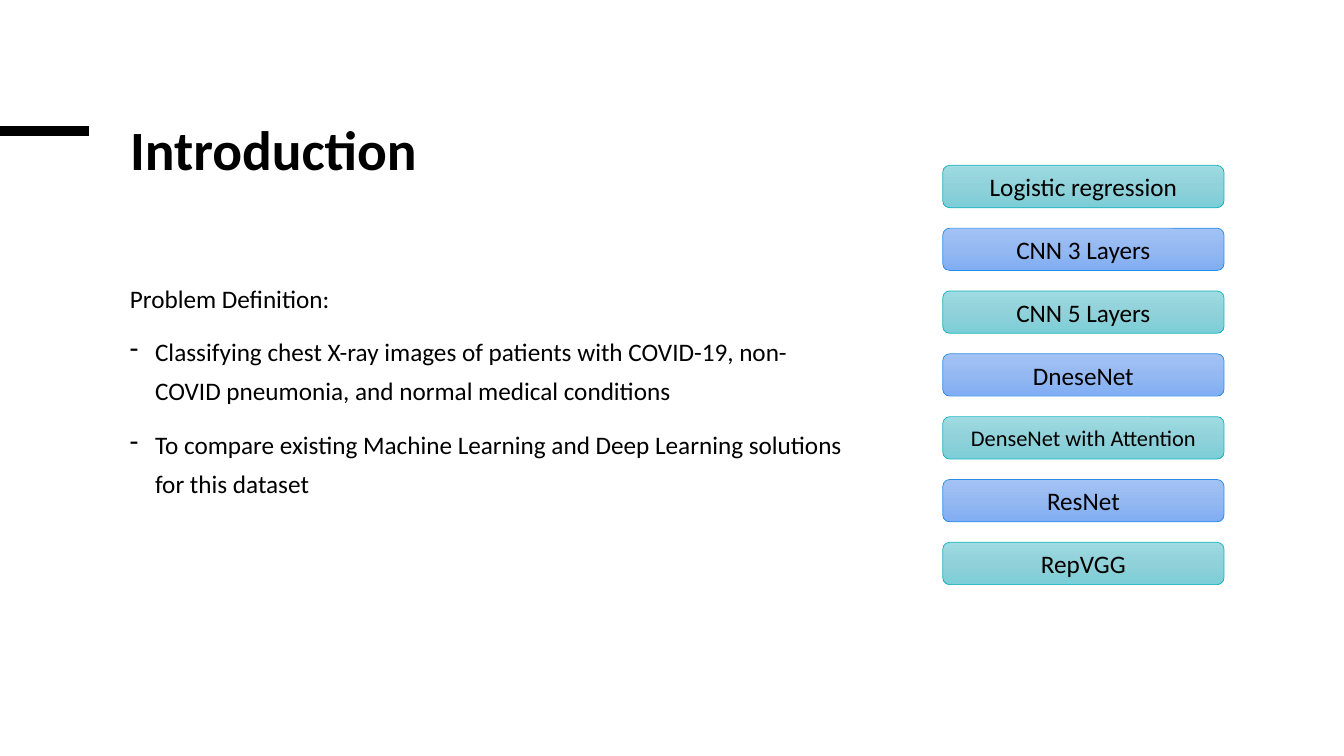
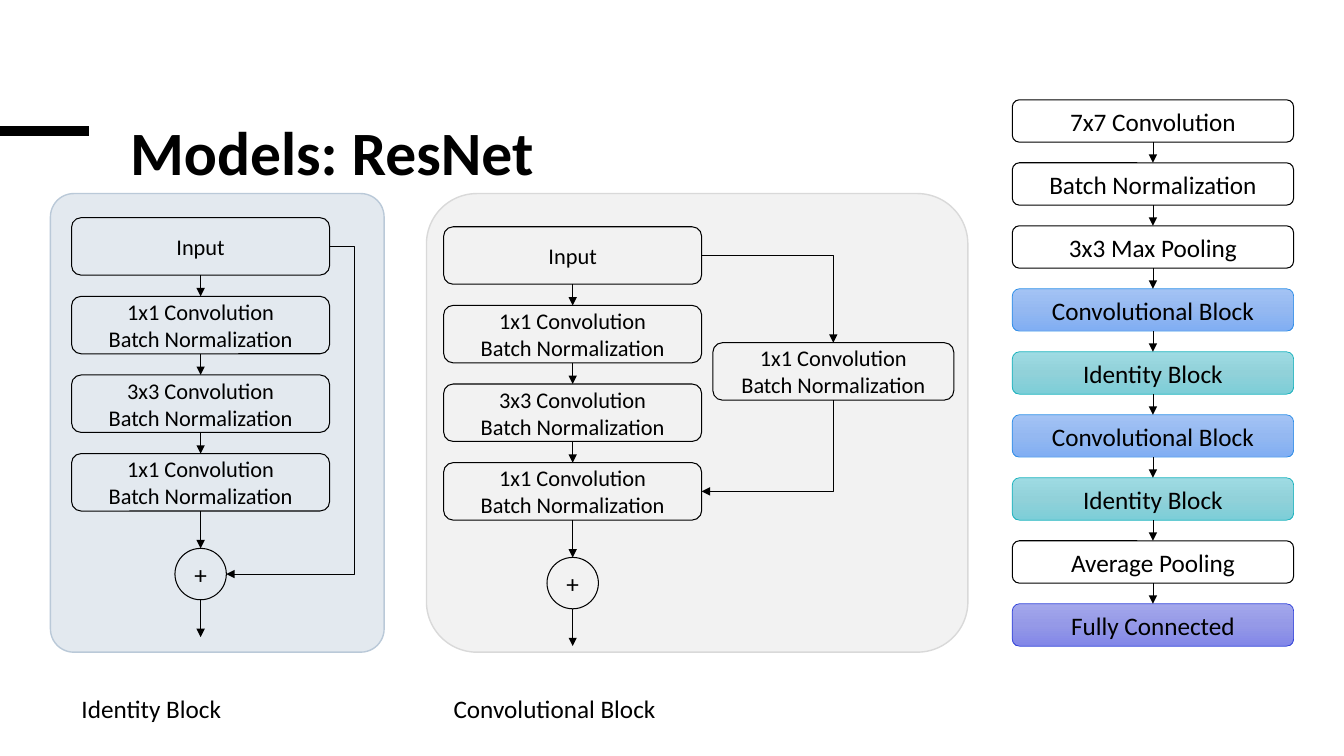
import copy

import pptx
import pptx.dml.color
import pptx.enum.shapes
import pptx.enum.text
import pptx.oxml.ns
import pptx.util
from lxml import etree

Inches = pptx.util.Inches
Pt = pptx.util.Pt
RGBColor = pptx.dml.color.RGBColor
SHAPES = pptx.enum.shapes.MSO_SHAPE
LINES = pptx.enum.shapes.MSO_CONNECTOR
ANCHOR = pptx.enum.text.MSO_ANCHOR
ALIGN = pptx.enum.text.PP_ALIGN
qn = pptx.oxml.ns.qn

FONT = "Calibri"
BLACK = RGBColor(0x00, 0x00, 0x00)
IDENTITY_FILL = RGBColor(0xE3, 0xE9, 0xEF)
IDENTITY_EDGE = RGBColor(0xBA, 0xC9, 0xD8)
CONV_FILL = RGBColor(0xF2, 0xF2, 0xF2)
CONV_EDGE = RGBColor(0xD9, 0xD9, 0xD9)
TEAL_EDGE = RGBColor(0x14, 0xB1, 0xBC)
BLUE_EDGE = RGBColor(0x29, 0x8C, 0xE7)
VIOLET_EDGE = RGBColor(0x2E, 0x40, 0xD9)
TEAL = (RGBColor(0x9E, 0xDB, 0xE3), RGBColor(0x91, 0xD1, 0xD9), RGBColor(0x7C, 0xCE, 0xD8))
BLUE = (RGBColor(0xA3, 0xC3, 0xF4), RGBColor(0x94, 0xB8, 0xF1), RGBColor(0x80, 0xAE, 0xF3))
VIOLET = (RGBColor(0xA3, 0xA7, 0xEB), RGBColor(0x95, 0x99, 0xE7), RGBColor(0x81, 0x86, 0xE8))
GRADIENT_EDGES = {TEAL: TEAL_EDGE, BLUE: BLUE_EDGE, VIOLET: VIOLET_EDGE}

TOP, LEFT, BOTTOM, RIGHT = range(4)
CIRCLE_BOTTOM, CIRCLE_RIGHT = 4, 6
STEP_WIDTH, STEP_HEIGHT, STEP_PITCH = 2.56, 0.57, 0.78
PLUS_SIZE, PLUS_GAP = 0.51, 0.37
BAR_HEIGHT = 0.42


def add_run(paragraph, text, size, bold=False):
    """Append one run in the deck's type style."""
    run = paragraph.add_run()
    run.text = text
    run.font.name = FONT
    run.font.size = Pt(size)
    run.font.bold = bold
    run.font.color.rgb = BLACK


def style_line(connector, width, arrow_end=None):
    """Make a connector plain black, with an arrowhead at the named end."""
    connector.line.color.rgb = BLACK
    connector.line.width = Pt(width)
    properties = connector._element.spPr
    if arrow_end:
        head = etree.SubElement(properties.find(qn("a:ln")), qn(arrow_end))
        head.set("type", "triangle")
    etree.SubElement(properties, qn("a:effectLst"))


def add_line(slide, start, end, kind=LINES.STRAIGHT):
    """Add a connector between two points."""
    return slide.shapes.add_connector(kind, *map(Inches, start + end))


def link(slide, source, source_site, target, target_site):
    """Join two shapes with a straight arrow."""
    arrow = add_line(slide, (0, 0), (0, 0))
    arrow.begin_connect(source, source_site)
    arrow.end_connect(target, target_site)
    style_line(arrow, 0.5, "a:tailEnd")


def link_corner(slide, row, column, arrow_end):
    """Join the right of one shape to a side of another round one corner."""
    side_shape, side = column
    elbow = add_line(slide, (0, 0), (0, 0), LINES.ELBOW)
    elbow.begin_connect(row, RIGHT)
    elbow.end_connect(side_shape, side)
    elbow._element.spPr.find(qn("a:prstGeom")).set("prst", "bentConnector2")
    style_line(elbow, 0.5, arrow_end)


def add_box(slide, box, lines=(), size=18, gradient=None, kind=SHAPES.ROUNDED_RECTANGLE):
    """Add an outlined shape with centred lines of text."""
    shape = slide.shapes.add_shape(kind, *map(Inches, box))
    shape.shadow.inherit = False
    if gradient:
        shape.fill.gradient()
        shape.fill.gradient_angle = 270
        stop_list = shape._element.spPr.find(".//" + qn("a:gsLst"))
        stop_list.append(copy.deepcopy(stop_list[0]))
        for stop, color, position in zip(shape.fill.gradient_stops, gradient, (0, 0.5, 1)):
            stop.color.rgb = color
            stop.position = position
    else:
        shape.fill.background()
    shape.line.color.rgb = GRADIENT_EDGES.get(gradient, BLACK)
    shape.line.width = Pt(0.5 if gradient else 0.75)
    frame = shape.text_frame
    frame.vertical_anchor = ANCHOR.MIDDLE
    for index, text in enumerate(lines):
        paragraph = frame.paragraphs[0] if index == 0 else frame.add_paragraph()
        paragraph.alignment = ALIGN.CENTER
        add_run(paragraph, text, size)
    return shape


def add_panel(slide, box, corner, fill, edge):
    """Add the tinted background of a block diagram."""
    panel = add_box(slide, box)
    panel.adjustments[0] = corner
    panel.fill.solid()
    panel.fill.fore_color.rgb = fill
    panel.line.color.rgb = edge
    panel.line.width = Pt(1)


def add_textbox(slide, box):
    """Add a wrapping text box and return its frame."""
    frame = slide.shapes.add_textbox(*map(Inches, box)).text_frame
    frame.word_wrap = True
    return frame


def add_titled_slide(deck, title, box, size):
    """Start a slide with the black accent rule and its title."""
    slide = deck.slides.add_slide(deck.slide_layouts[5])
    style_line(add_line(slide, (0, 1.3), (0.88, 1.3)), 6.75)
    heading = slide.shapes.title
    heading.left, heading.top, heading.width, heading.height = map(Inches, box)
    frame = heading.text_frame
    frame.word_wrap = True
    frame.auto_size = pptx.enum.text.MSO_AUTO_SIZE.NONE
    frame.vertical_anchor = ANCHOR.TOP
    paragraph = frame.paragraphs[0]
    paragraph.alignment = ALIGN.LEFT
    paragraph.line_spacing = 0.85
    add_run(paragraph, title, size, bold=True)
    return slide


def add_problem(slide, box, heading, goals):
    """Write the problem heading and its dashed goals."""
    frame = add_textbox(slide, box)
    for index, text in enumerate([heading] + goals):
        paragraph = frame.add_paragraph() if index else frame.paragraphs[0]
        paragraph.line_spacing = 1.3
        paragraph.space_before = Pt(10)
        if index:
            properties = paragraph._p.get_or_add_pPr()
            properties.set("marL", str(Inches(0.25)))
            properties.set("indent", str(-Inches(0.25)))
            etree.SubElement(properties, qn("a:buChar")).set("char", "-")
        add_run(paragraph, text, 18)


def add_stack(slide, box, layers, linked=False):
    """Spread layer bars evenly down a box, with arrows if linked."""
    left, top, width, height = box
    pitch = (height - BAR_HEIGHT) / (len(layers) - 1)
    bars = [
        add_box(slide, (left, top + index * pitch, width, BAR_HEIGHT), [name], size, gradient)
        for index, (name, gradient, size) in enumerate(layers)
    ]
    if linked:
        for upper, lower in zip(bars, bars[1:]):
            link(slide, upper, BOTTOM, lower, TOP)


def normalized(convolution):
    """Return the two lines of a convolution step."""
    return [convolution, "Batch Normalization"]


def add_chain(slide, left, top):
    """Draw the main path from input to sum and return steps and sum."""
    texts = [["Input"]] + [normalized(f"{n}x{n} Convolution") for n in (1, 3, 1)]
    steps = [
        add_box(slide, (left, top + index * STEP_PITCH, STEP_WIDTH, STEP_HEIGHT), lines, 16)
        for index, lines in enumerate(texts)
    ]
    center = left + STEP_WIDTH / 2
    plus_top = top + 3 * STEP_PITCH + STEP_HEIGHT + PLUS_GAP
    plus_box = (center - PLUS_SIZE / 2, plus_top, PLUS_SIZE, PLUS_SIZE)
    plus = add_box(slide, plus_box, ["+"], kind=SHAPES.OVAL)
    for upper, lower in zip(steps, steps[1:] + [plus]):
        link(slide, upper, BOTTOM, lower, TOP)
    plus_bottom = plus_top + PLUS_SIZE
    output = add_line(slide, (center, plus_bottom), (center, plus_bottom + PLUS_GAP))
    output._connect_begin_to(plus, CIRCLE_BOTTOM)
    style_line(output, 0.5, "a:tailEnd")
    return steps, plus


def add_skip(slide, source, plus, reach):
    """Carry the input past the chain to the right of the sum."""
    start = ((source.left + source.width) / 914400, (source.top + source.height / 2) / 914400)
    end = ((plus.left + plus.width) / 914400, (plus.top + plus.height / 2) / 914400)
    skip = add_line(slide, start, end, LINES.ELBOW)
    skip._connect_begin_to(source, RIGHT)
    skip._connect_end_to(plus, CIRCLE_RIGHT)
    geometry = skip._element.spPr.find(qn("a:prstGeom"))
    bend = round(-reach / (start[0] - end[0]) * 100000)
    guide = etree.SubElement(geometry.find(qn("a:avLst")), qn("a:gd"))
    guide.set("name", "adj1")
    guide.set("fmla", f"val {bend}")
    style_line(skip, 0.5, "a:tailEnd")


def add_caption(slide, box, text):
    """Name a block diagram."""
    add_run(add_textbox(slide, box).paragraphs[0], text, 18)


def add_identity_block(slide, box):
    """Draw the block whose shortcut is the input itself."""
    left, top = box[:2]
    add_panel(slide, box, 0.07, IDENTITY_FILL, IDENTITY_EDGE)
    steps, plus = add_chain(slide, left + 0.21, top + 0.24)
    add_skip(slide, steps[0], plus, 0.25)
    add_caption(slide, (left + 0.21, top + 4.91, 2.19, 0.4), "Identity Block")


def add_convolutional_block(slide, box):
    """Draw the block whose shortcut holds a convolution."""
    left, top = box[:2]
    add_panel(slide, box, 0.11, CONV_FILL, CONV_EDGE)
    steps, _ = add_chain(slide, left + 0.17, top + 0.33)
    shortcut_box = (left + 2.84, top + 1.48, 2.39, STEP_HEIGHT)
    shortcut = add_box(slide, shortcut_box, normalized("1x1 Convolution"), 16)
    link_corner(slide, steps[0], (shortcut, TOP), "a:tailEnd")
    link_corner(slide, steps[-1], (shortcut, BOTTOM), "a:headEnd")
    add_caption(slide, (left + 0.17, top + 4.91, 3.16, 0.4), "Convolutional Block")


def build_introduction(deck):
    """Build the problem slide with the list of models."""
    slide = add_titled_slide(deck, "Introduction", (1.19, 1.19, 5.1, 0.67), 39.6)
    add_problem(slide, (1.19, 2.67, 7.27, 4.16), "Problem Definition:", [
        "Classifying chest X-ray images of patients with COVID-19, non-COVID pneumonia, "
        "and normal medical conditions",
        "To compare existing Machine Learning and Deep Learning solutions for this dataset",
    ])
    add_stack(slide, (9.35, 1.64, 2.79, 4.16), [
        ("Logistic regression", TEAL, 18),
        ("CNN 3 Layers", BLUE, 18),
        ("CNN 5 Layers", TEAL, 18),
        ("DneseNet", BLUE, 18),
        ("DenseNet with Attention", TEAL, 16),
        ("ResNet", BLUE, 18),
        ("RepVGG", TEAL, 18),
    ])


def build_resnet(deck):
    """Build the slide on the network and its two blocks."""
    slide = add_titled_slide(deck, "Models: ResNet", (1.19, 1.19, 7, 1.42), 44)
    add_identity_block(slide, (0.5, 1.92, 3.31, 4.55))
    add_convolutional_block(slide, (4.23, 1.92, 5.37, 4.55))
    block_pair = [("Convolutional Block", BLUE, 18), ("Identity Block", TEAL, 18)]
    add_stack(slide, (10.04, 0.99, 2.79, 5.42), [
        ("7x7 Convolution", None, 18),
        ("Batch Normalization", None, 18),
        ("3x3 Max Pooling", None, 18),
        *block_pair * 2,
        ("Average Pooling", None, 18),
        ("Fully Connected", VIOLET, 18),
    ], linked=True)


def main():
    """Build and save the deck."""
    deck = pptx.Presentation()
    deck.slide_width, deck.slide_height = Inches(13.33), Inches(7.5)
    build_introduction(deck)
    build_resnet(deck)
    deck.save("out.pptx")


if __name__ == "__main__":
    main()
